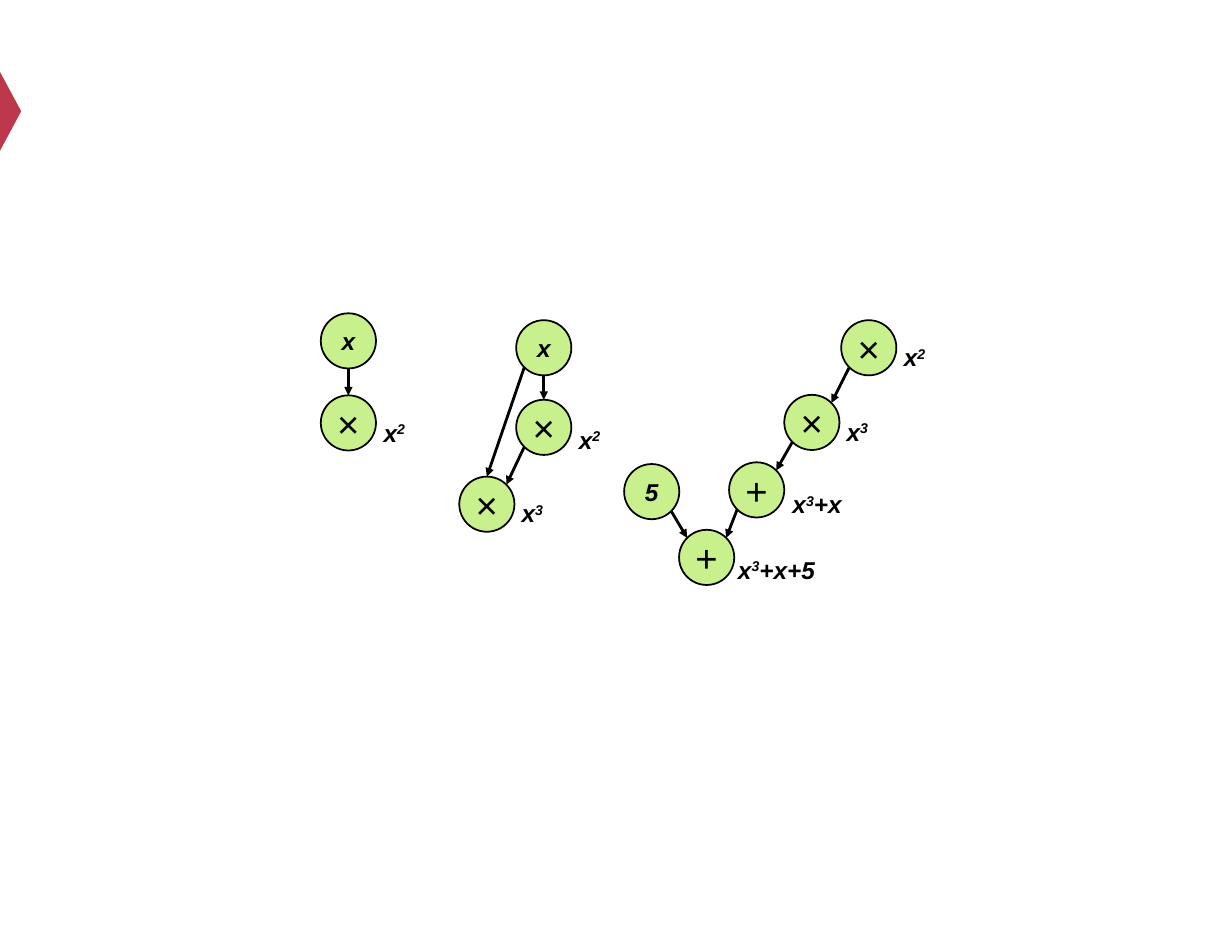
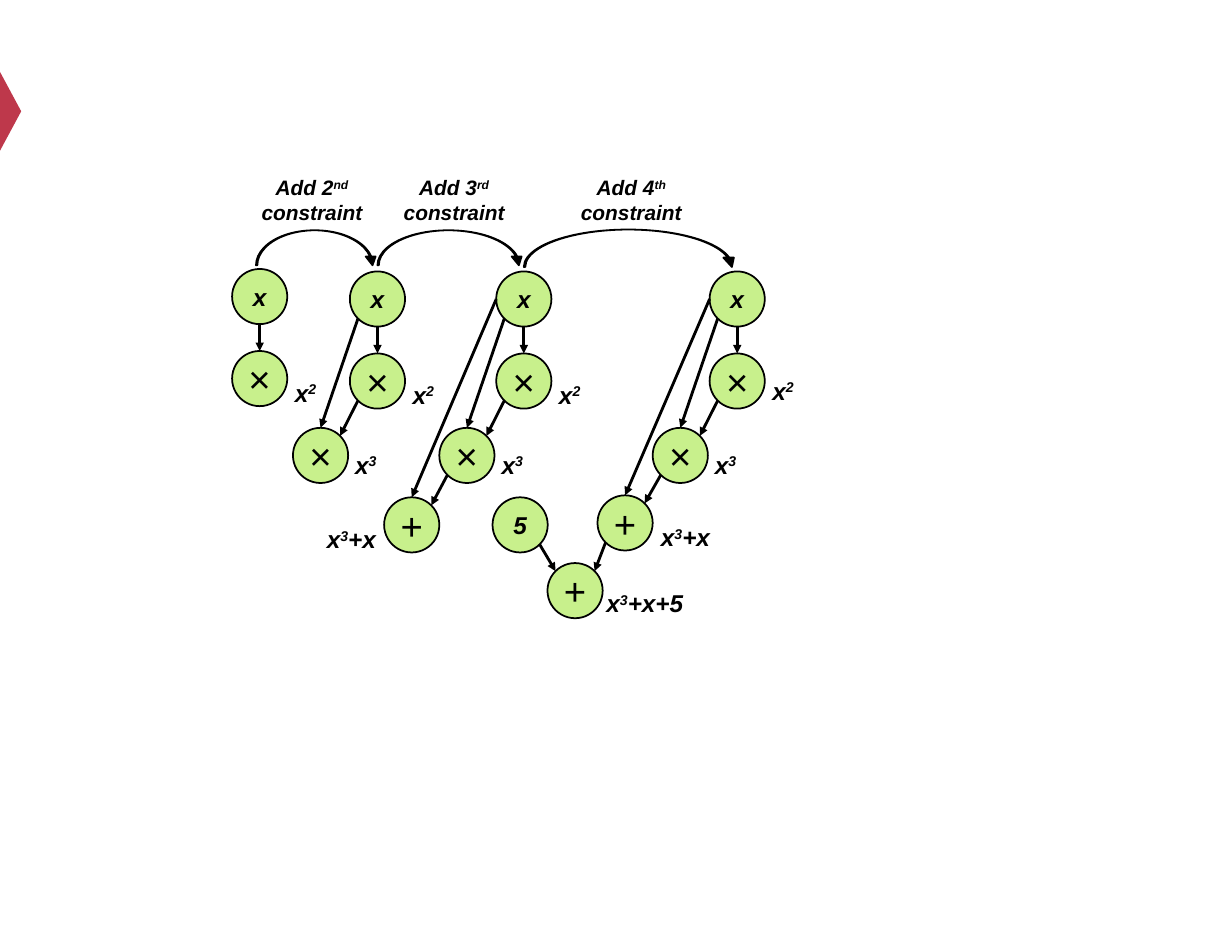
from dataclasses import dataclass
from math import cos, radians, sin

from lxml import etree
from pptx import Presentation
from pptx.dml.color import RGBColor
from pptx.enum.shapes import MSO_CONNECTOR, MSO_SHAPE
from pptx.enum.text import MSO_ANCHOR, PP_ALIGN
from pptx.oxml.ns import qn
from pptx.util import Cm, Pt

OVAL = MSO_SHAPE.OVAL
WEDGE = MSO_SHAPE.ISOSCELES_TRIANGLE
CURVE = MSO_SHAPE.CURVED_DOWN_ARROW
LINE = MSO_CONNECTOR.STRAIGHT
CENTER = PP_ALIGN.CENTER
MIDDLE = MSO_ANCHOR.MIDDLE

# Connection sites of an oval, counted anticlockwise from the top
TOP, TOP_LEFT, LEFT, LOW_LEFT, BOTTOM, LOW_RIGHT, TOP_RIGHT = 0, 1, 2, 3, 4, 5, 7


@dataclass(frozen=True)
class Theme:
    font: str = "Arial"
    ink: RGBColor = RGBColor(0x00, 0x00, 0x00)
    node: RGBColor = RGBColor(0xC8, 0xF0, 0x8C)
    band: RGBColor = RGBColor(0xBE, 0x38, 0x4B)
    label: float = 28
    sign: float = 44
    note: float = 24
    edge: float = 2
    arrow: float = 3.25
    size: float = 2.24  # node diameter in cm


@dataclass(frozen=True)
class Step:
    sign: str
    label: str
    shift: float  # from the column to the node
    reach: float  # from the node to its label
    drop: float
    width: float


STEPS = (
    Step("×", "x|2", 0, 1.86, 0.39, 2.39),
    Step("×", "x|3", -2.31, 1.84, 0.37, 2.3),
    Step("+", "x|3|+x", -4.55, 2.45, 0.57, 3.23),
    Step("+", "x|3|+x+5", -6.58, 2.83, 0.5, 4.34),
)
FIVE = -8.81


def write(frame, *lines, theme, size, strong=True):
    """Fill a frame with centred lines; every second part between bars is raised."""
    for i, line in enumerate(lines):
        para = frame.paragraphs[0] if i == 0 else frame.add_paragraph()
        para.alignment = CENTER
        for j, part in enumerate(line.split("|")):
            run = para.add_run()
            run.text = part
            font = run.font
            font.name, font.size = theme.font, Pt(size)
            font.bold = font.italic = strong
            font.color.rgb = theme.ink
            if j % 2:
                run._r.get_or_add_rPr().set("baseline", "30000")


class Deck:
    def __init__(self, theme):
        self.theme = theme
        self.prs = Presentation()
        self.prs.slide_width, self.prs.slide_height = Cm(50), Cm(38)
        self.slide = None

    def page(self):
        self.slide = self.prs.slides.add_slide(self.prs.slide_layouts[6])

    def band(self):
        """Put the red wedge on the master, for all slides."""
        wedge = self.shape(WEDGE, -1.17, 4.09, 3.2, 0.86, self.theme.band)
        wedge.rotation = 90
        self.prs.slide_master.shapes._spTree.append(wedge._element)

    def shape(self, kind, x, y, w, h, fill, edge=None):
        item = self.slide.shapes.add_shape(kind, Cm(x), Cm(y), Cm(w), Cm(h))
        item.shadow.inherit = False
        item.fill.solid()
        item.fill.fore_color.rgb = fill
        if edge:
            item.line.color.rgb = self.theme.ink
            item.line.width = Pt(edge)
        else:
            item.line.fill.background()
        return item

    def node(self, sign, x, y):
        """Draw an oval around the centre x, y."""
        t = self.theme
        item = self.shape(OVAL, x - t.size / 2, y - t.size / 2, t.size, t.size,
                          t.node, t.edge)
        frame = item.text_frame
        frame.margin_left = frame.margin_right = 0
        frame.margin_top = frame.margin_bottom = 0
        frame.vertical_anchor = MIDDLE
        strong = sign.isalnum()
        write(frame, sign, theme=t, size=t.label if strong else t.sign, strong=strong)
        return item

    def label(self, *lines, x, y, w, h=1.45, size=None):
        """Draw a text box around the centre x, y."""
        box = self.slide.shapes.add_textbox(Cm(x - w / 2), Cm(y - h / 2), Cm(w), Cm(h))
        box.text_frame.word_wrap = True
        write(box.text_frame, *lines, theme=self.theme, size=size or self.theme.label)

    def site(self, node, index):
        angle = radians(90 + 45 * index)
        half = node.width / 2
        return (round(node.left + half + half * cos(angle)),
                round(node.top + half - half * sin(angle)))

    def arrow(self, start, out, end, into):
        """Join two ovals at their numbered sites."""
        link = self.slide.shapes.add_connector(
            LINE, *self.site(start, out), *self.site(end, into))
        link.line.color.rgb = self.theme.ink
        link.line.width = Pt(self.theme.arrow)
        head = etree.SubElement(link.line._get_or_add_ln(), qn("a:tailEnd"))
        head.set("type", "triangle")
        etree.SubElement(link._element.spPr, qn("a:effectLst"))
        # Ovals have eight sites, so the joints are written directly
        joints = link._element.find(".//" + qn("p:cNvCxnSpPr"))
        for tag, node, index in (("a:stCxn", start, out), ("a:endCxn", end, into)):
            joint = etree.SubElement(joints, qn(tag))
            joint.set("id", str(node.shape_id))
            joint.set("idx", str(index))

    def chain(self, x, ys, root=None, five=None, drop=None, side=1):
        """Draw one graph; ys, root and five are the heights of its nodes."""
        nodes = []
        for i, (step, y) in enumerate(zip(STEPS, ys)):
            cx = x + step.shift
            nodes.append(self.node(step.sign, cx, y))
            turn = side if i == 2 else 1
            fall = drop if drop and i == 0 else step.drop
            self.label(step.label, x=cx + turn * step.reach, y=y + fall, w=step.width)
        for start, end in zip(nodes, nodes[1:]):
            self.arrow(start, LOW_LEFT, end, TOP_RIGHT)
        if root:
            top = self.node("x", x, root)
            for out, end in zip((BOTTOM, LOW_LEFT, LEFT), nodes):
                self.arrow(top, out, end, TOP)
        if five:
            self.arrow(self.node("5", x + FIVE, five), LOW_RIGHT, nodes[-1], TOP_LEFT)

    def curve(self, x, y, w, h):
        item = self.shape(CURVE, x, y, w, h, self.theme.ink, self.theme.edge)
        for i, value in enumerate((0.039, 0.283, 0.25)):
            item.adjustments[i] = value


def main():
    deck = Deck(Theme())

    # Slide 1: separate constraints
    deck.page()
    deck.band()
    deck.chain(14.14, (17.17,), root=13.84)
    deck.chain(22.07, (17.35, 20.47), root=14.12, drop=0.5)
    deck.chain(35.26, (14.12, 17.15, 19.89, 22.63), five=19.96)

    # Slide 2: constraints added one by one
    deck.page()
    deck.chain(10.54, (15.37,), root=12.04, drop=0.57)
    deck.chain(15.32, (15.47, 18.49), root=12.14, drop=0.55)
    deck.chain(21.26, (15.47, 18.49, 21.31), root=12.14, drop=0.55, side=-1)
    deck.chain(29.92, (15.47, 18.49, 21.23, 23.98), root=12.14, five=21.31)

    # Curved arrows with captions
    stops = (10.39, 15.32, 21.26, 29.92)
    notes = (("Add 2|nd", 12.66, 9.35, 1.42),
             ("Add 3|rd", 18.43, 9.35, 1.42),
             ("Add 4|th", 25.62, 9.32, 1.52))
    for left, right, (note, mid, top, high) in zip(stops, stops[1:], notes):
        deck.curve(left, top, right - left, high)
        deck.label(note, "constraint", x=mid, y=8.12, w=7.29, h=2.31,
                   size=deck.theme.note)

    deck.prs.save("out.pptx")


if __name__ == "__main__":
    main()
